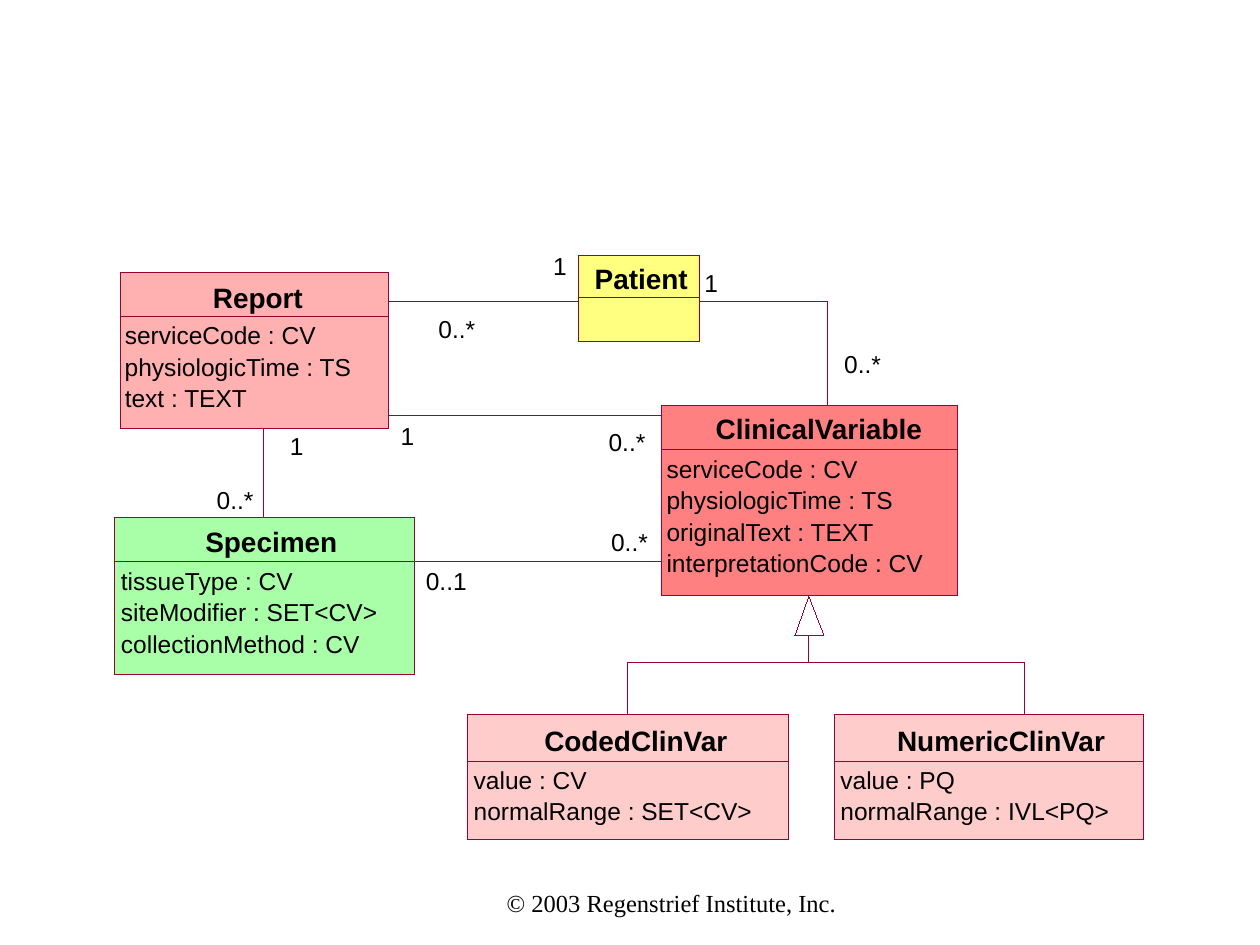
"""Draw a UML class diagram of clinical reports, specimens and variables."""
from dataclasses import dataclass

from lxml import etree
from pptx import Presentation
from pptx import util as u
from pptx.dml.color import RGBColor
from pptx.enum import shapes, text
from pptx.oxml.ns import qn


@dataclass(frozen=True)
class Theme:
    ink: str = "000000"
    outline: str = "990033"
    white: str = "FFFFFF"
    pale: str = "FFCCCC"
    rose: str = "FFB0B0"
    red: str = "FF8080"
    green: str = "A8FFA8"
    yellow: str = "FFFF80"
    sans: str = "Arial"
    serif: str = "Times New Roman"
    name_size: int = 16
    body_size: int = 14
    hairline: float = 0.01


class Diagram:
    def __init__(self, slide, theme):
        self.slide = slide
        self.theme = theme

    def style(self, figure, fill=None):
        figure.shadow.inherit = False
        if fill:
            figure.fill.solid()
            figure.fill.fore_color.rgb = RGBColor.from_string(fill)
        else:
            figure.fill.background()
        self.stroke(figure.line)

    def stroke(self, line):
        line.color.rgb = RGBColor.from_string(self.theme.outline)
        line.width = u.Pt(self.theme.hairline)

    def box(self, left, top, width, height, fill=None):
        area = map(u.Inches, (left, top, width, height))
        self.style(self.slide.shapes.add_shape(shapes.MSO_SHAPE.RECTANGLE, *area), fill)

    def label(self, words, left, top, width, height=0.23, margins=(0, 0), wrap=False,
              align=text.PP_ALIGN.LEFT, **font):
        area = map(u.Inches, (left, top, width, height))
        frame = self.slide.shapes.add_textbox(*area).text_frame
        side, edge = map(u.Inches, margins)
        layout = {"margin_left": side, "margin_right": side, "margin_top": edge,
                  "margin_bottom": edge, "word_wrap": wrap,
                  "auto_size": text.MSO_AUTO_SIZE.SHAPE_TO_FIT_TEXT}
        for key, value in layout.items():
            setattr(frame, key, value)
        paragraph = frame.paragraphs[0]
        paragraph.alignment = align
        run = paragraph.add_run()
        run.text = words
        formats = {"name": self.theme.sans, "size": u.Pt(self.theme.body_size), **font}
        for key, value in formats.items():
            setattr(run.font, key, value)
        run.font.color.rgb = RGBColor.from_string(self.theme.ink)

    def uml_class(self, area, fill, name, name_at, name_width, divider, inset, attributes):
        left, top, width, height = area
        self.box(left, top, width, height, fill)
        self.label(name, *name_at, name_width, 0.27, bold=True,
                   size=u.Pt(self.theme.name_size))
        self.box(left, divider, width, top + height - divider)
        for row, (attribute, attribute_width) in enumerate(attributes):
            self.label(attribute, left + inset, divider + 0.03 + 0.25 * row, attribute_width)

    def line(self, *ends):
        connector = self.slide.shapes.add_connector(
            shapes.MSO_CONNECTOR.STRAIGHT, *map(u.Inches, ends))
        self.stroke(connector.line)
        properties = connector._element.find(qn("p:spPr"))
        etree.SubElement(properties, qn("a:effectLst"))

    def outline(self, points, fill=None):
        start, *rest = [(u.Inches(x), u.Inches(y)) for x, y in points]
        builder = self.slide.shapes.build_freeform(*start)
        builder.add_line_segments(rest, close=fill is not None)
        self.style(builder.convert_to_shape(), fill)


def main():
    theme = Theme()
    deck = Presentation()
    deck.slide_width, deck.slide_height = u.Inches(10), u.Inches(7.5)
    diagram = Diagram(deck.slides.add_slide(deck.slide_layouts[6]), theme)

    shared_attributes = [("serviceCode : CV", 1.55), ("physiologicTime : TS", 1.84)]
    classes = [
        ((6.62, 5.67, 2.46, 0.99), theme.pale, "NumericClinVar", (7.12, 5.74), 1.69, 6.04, 0.05,
         [("value : PQ", 0.94), ("normalRange : IVL<PQ>", 2.17)]),
        ((3.71, 5.67, 2.55, 0.99), theme.pale, "CodedClinVar", (4.32, 5.74), 1.5, 6.04, 0.05,
         [("value : CV", 0.93), ("normalRange : SET<CV>", 2.24)]),
        ((0.91, 4.11, 2.38, 1.24), theme.green, "Specimen", (1.63, 4.16), 1.08, 4.46, 0.05,
         [("tissueType : CV", 1.41), ("siteModifier : SET<CV>", 2.07),
          ("collectionMethod : CV", 1.93)]),
        ((0.96, 2.16, 2.12, 1.24), theme.rose, "Report", (1.69, 2.23), 0.74, 2.51, 0.03,
         [*shared_attributes, ("text : TEXT", 1.01)]),
        ((4.59, 2.03, 0.96, 0.68), theme.yellow, "Patient", (4.72, 2.08), 0.77, 2.36, 0.05, []),
        ((5.25, 3.22, 2.35, 1.51), theme.red, "ClinicalVariable", (5.68, 3.27), 1.68, 3.57, 0.04,
         [*shared_attributes, ("originalText : TEXT", 1.7), ("interpretationCode : CV", 2.07)]),
    ]
    for uml_class in classes:
        diagram.uml_class(*uml_class)

    report_specimen = (2.09, 3.4, 2.09, 4.1)
    report_patient = (3.08, 2.39, 4.59, 2.39)
    report_variable = (3.08, 3.3, 5.25, 3.3)
    specimen_variable = (3.3, 4.46, 5.25, 4.46)
    patient_elbow = (5.55, 2.39, 6.26, 2.39)
    for association in (report_specimen, report_patient, report_variable, specimen_variable,
                        patient_elbow):
        diagram.line(*association)
    diagram.outline([(6.26, 2.39), (6.57, 2.39), (6.57, 3.22)])

    coded_x, parent_x, numeric_x, branch_y = 4.98, 6.42, 8.13, 5.26
    diagram.line(parent_x, branch_y, parent_x, 4.73)
    diagram.line(coded_x, branch_y, numeric_x, branch_y)
    for child_x in (coded_x, numeric_x):
        diagram.line(child_x, 5.67, child_x, branch_y)
    diagram.outline([(parent_x, 4.73), (6.54, 5.04), (6.31, 5.04)], theme.white)

    multiplicity_widths = {"1": 0.13, "0..*": 0.32, "0..1": 0.36}
    multiplicities = [
        ("0..*", 1.72, 3.85), ("1", 2.3, 3.42), ("1", 4.39, 1.99), ("0..*", 3.48, 2.49),
        ("1", 3.18, 3.34), ("0..*", 4.83, 3.39), ("0..*", 4.85, 4.18), ("0..1", 3.38, 4.49),
        ("1", 5.59, 2.13), ("0..*", 6.7, 2.77),
    ]
    for multiplicity, left, top in multiplicities:
        diagram.label(multiplicity, left, top, multiplicity_widths[multiplicity])

    diagram.label("© 2003 Regenstrief Institute, Inc.", 3.08, 7, 4.5, 0.34, margins=(0.1, 0.05),
                  wrap=True, align=text.PP_ALIGN.CENTER, name=theme.serif)
    deck.save("out.pptx")


if __name__ == "__main__":
    main()
